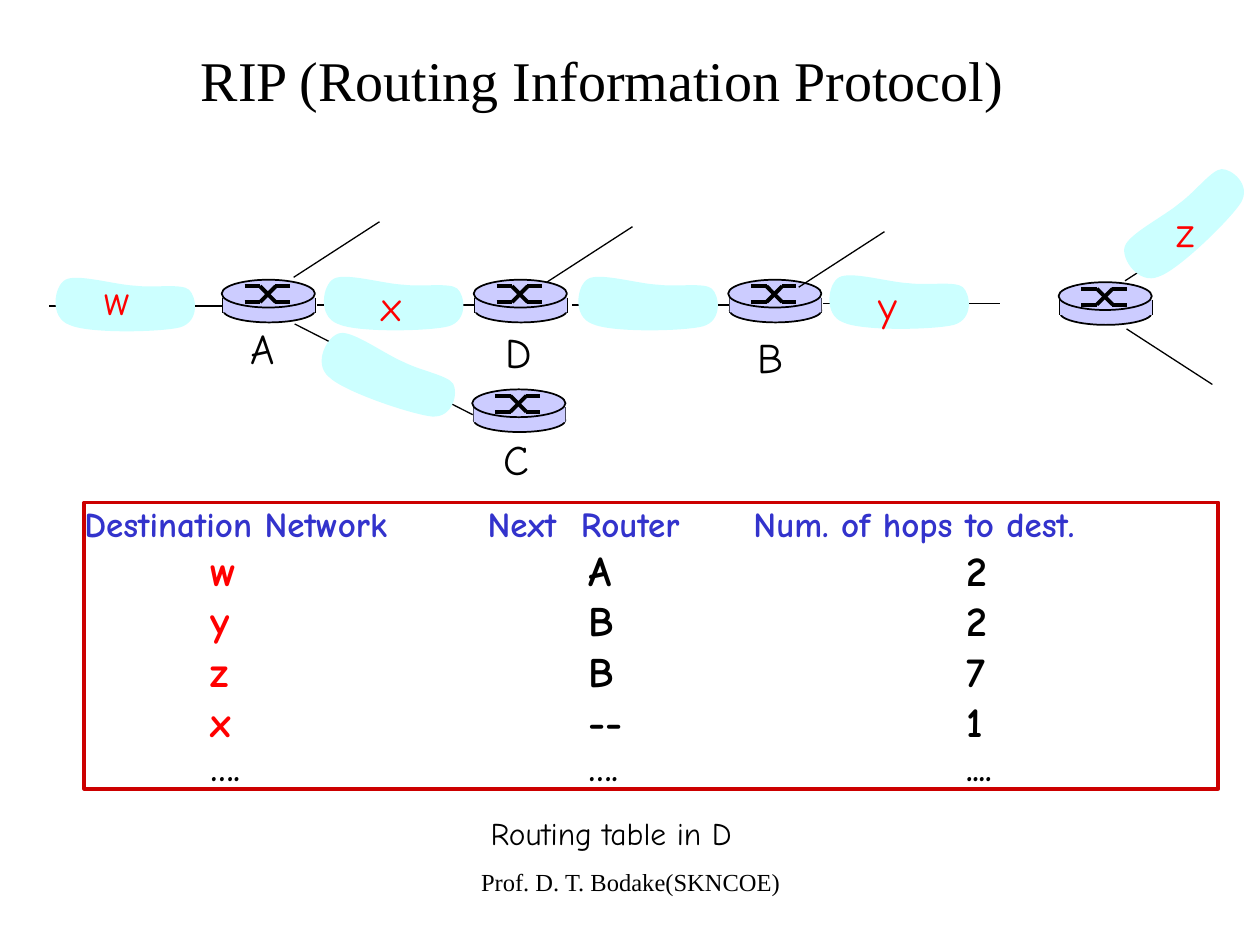
from dataclasses import dataclass

from lxml.etree import SubElement
from pptx import Presentation
from pptx.dml.color import RGBColor
from pptx.enum.shapes import MSO_CONNECTOR as Connector, MSO_SHAPE as Preset
from pptx.enum.text import MSO_ANCHOR as Anchor, PP_ALIGN as Align
from pptx.oxml.ns import qn
from pptx.util import Cm, Pt


@dataclass(frozen=True)
class Theme:
    """Colours, fonts and type sizes of the slide."""
    black: str = "000000"
    red: str = "FF0000"
    frame: str = "CC0000"
    header: str = "3333CC"
    router: str = "CCCCFF"
    cloud: str = "CCFFFF"
    serif: str = "Times New Roman"
    hand: str = "Comic Neue"
    title_size: int = 32
    label_size: int = 24
    header_size: int = 20
    caption_size: int = 18
    footer_size: int = 14


THEME = Theme()
CLOUD_START = (1.73, 0.25)
CLOUD_CURVES = [
    ((1.32, 0.23), (0.56, 0), (0.33, 0.13)),
    ((0.1, 0.25), (0, 0.89), (0.41, 1.04)),
    ((0.79, 1.22), (2.24, 1.19), (2.64, 1.09)),
    ((3.05, 0.97), (2.97, 0.46), (2.82, 0.33)),
    ((2.67, 0.2), (2.13, 0.3), CLOUD_START),
]
NETWORKS = [(0.99, 5.51), (6.4, 5.49), (11.53, 5.49), (16.59, 5.46)]
TILTED_NETWORKS = [(6.3, 6.96, 19.7), (22.35, 3.89, -43.2)]
ROUTERS = [(4.47, 5.64), (9.55, 5.64), (9.52, 7.85), (14.68, 5.64), (21.34, 5.69)]
SPOKES = [
    (5.92, 5.59, 1.73, -1.12),
    (11.02, 5.69, 1.73, -1.12),
    (16.1, 5.79, 1.73, -1.12),
    (22.68, 5.66, 1.73, -1.12),
    (22.71, 6.63, 1.73, 1.12),
    (5.94, 6.53, 3.59, 1.83),
]
NETWORK_NAMES = [("w", 2.36, 5.38), ("x", 7.9, 5.51), ("y", 17.89, 5.51), ("z", 23.9, 4.01)]
ROUTER_NAMES = [("A", 5.3, 6.38), ("C", 10.41, 8.61), ("D", 10.45, 6.45), ("B", 15.52, 6.55)]
HEADER = ("Destination Network", "Next", "Router", "Num. of hops to dest.")
HEADER_STOPS = (8.13, 10.01, 13.49)
ROUTES = [("w", "A", "2"), ("y", "B", "2"), ("z", "B", "7"), ("x", "--", "1")]
MORE_ROUTES = ("….", "….", "....")
ROUTE_STOPS = (2.54, 10.16, 17.78)


def rgb(color):
    """Turn a hex colour into an RGBColor."""
    return RGBColor.from_string(color)


def style_span(span, size, font, color, bold=False):
    """Format one run."""
    span.font.size = Pt(size)
    span.font.name = font
    span.font.bold = bold
    span.font.color.rgb = rgb(color)


def add_text(page, box, text, size, font, color, anchor=Anchor.TOP):
    """Place one centred line of text in a box."""
    frame = page.shapes.add_textbox(*map(Cm, box)).text_frame
    frame.text = text
    frame.word_wrap = True
    frame.vertical_anchor = anchor
    para = frame.paragraphs[0]
    para.alignment = Align.CENTER
    style_span(para.runs[0], size, font, color)


def add_line(shapes, left, top, run, rise, width):
    """Draw a black line from a point by a horizontal and vertical offset."""
    line = shapes.add_connector(
        Connector.STRAIGHT, Cm(left), Cm(top), Cm(left + run), Cm(top + rise))
    line.line.color.rgb = rgb(THEME.black)
    line.line.width = Pt(width)
    SubElement(line.element.spPr, qn("a:effectLst"))


def add_shape(shapes, preset, box, fill=None, line=None, width=1):
    """Draw a flat preset shape."""
    shape = shapes.add_shape(preset, *map(Cm, box))
    shape.shadow.inherit = False
    if fill:
        shape.fill.solid()
        shape.fill.fore_color.rgb = rgb(fill)
    else:
        shape.fill.background()
    if line:
        shape.line.color.rgb = rgb(line)
        shape.line.width = Pt(width)
    else:
        shape.line.fill.background()
    return shape


def add_router(page, left, top):
    """Draw a router drum with its crossing-paths symbol."""
    shapes = page.shapes.add_group_shape().shapes
    base, wall, lid = (0.03, 0.38, 1.85, 0.48), (0.03, 0.36, 1.85, 0.3), (0, 0, 1.88, 0.56)

    def place(box):
        """Move a part to the router's corner."""
        return (left + box[0], top + box[1], *box[2:])

    add_shape(shapes, Preset.OVAL, place(base), THEME.router, THEME.black)
    for side in (0.03, 1.88):
        add_line(shapes, left + side, top + 0.36, 0, 0.3, 1)
    add_shape(shapes, Preset.RECTANGLE, place(wall), THEME.router)
    add_shape(shapes, Preset.OVAL, place(lid), THEME.router, THEME.black)
    for start, end in ((0.13, 0.45), (0.45, 0.13)):
        add_line(shapes, left + 0.46, top + start, 0.32, 0, 2.25)
        add_line(shapes, left + 0.77, top + start, 0.32, end - start, 2.25)
        add_line(shapes, left + 1.08, top + end, 0.29, 0, 2.25)


def bend_segments(shape):
    """Join each three straight segments of an outline into a Bézier curve."""
    segments = list(shape.element.iter(qn("a:lnTo")))
    for first in range(0, len(segments), 3):
        group = segments[first:first + 3]
        curve = group[0].makeelement(qn("a:cubicBezTo"))
        group[0].addprevious(curve)
        for segment in group:
            curve.append(segment[0])
            segment.getparent().remove(segment)


def add_cloud(page, left, top, rotation=0):
    """Draw one network cloud."""
    def place(point):
        """Move an outline point to the cloud's corner."""
        return Cm(left + point[0]), Cm(top + point[1])

    builder = page.shapes.build_freeform(*place(CLOUD_START))
    builder.add_line_segments(
        [place(point) for curve in CLOUD_CURVES for point in curve], close=True)
    cloud = builder.convert_to_shape()
    bend_segments(cloud)
    cloud.rotation = rotation
    cloud.shadow.inherit = False
    cloud.fill.solid()
    cloud.fill.fore_color.rgb = rgb(THEME.cloud)
    cloud.line.fill.background()


def add_topology(page):
    """Draw the links, routers, clouds and their names."""
    for left, top in NETWORKS:
        add_line(page.shapes, left, top + 0.66, 3.56, 0, 1)
    for router in ROUTERS:
        add_router(page, *router)
    for spoke in SPOKES:
        add_line(page.shapes, *spoke, 0.75)
    for network in NETWORKS + TILTED_NETWORKS:
        add_cloud(page, *network)
    for names, color in ((NETWORK_NAMES, THEME.red), (ROUTER_NAMES, THEME.black)):
        for name, center, top in names:
            add_text(page, (center - 0.5, top, 1, 1.27), name,
                     THEME.label_size, THEME.hand, color)


def write_row(para, texts, stops, size, colors):
    """Write spans of one row at its tab stops."""
    para.alignment = Align.LEFT
    tabs = SubElement(para._p.get_or_add_pPr(), qn("a:tabLst"))
    for stop in stops:
        SubElement(tabs, qn("a:tab"), pos=str(Cm(stop)), algn="l")
    for text, color in zip(texts, colors):
        span = para.add_run()
        span.text = text
        style_span(span, size, THEME.hand, color, bold=True)


def add_routing_table(page, box):
    """Write the routing entries inside a red frame."""
    frame = add_shape(page.shapes, Preset.RECTANGLE, box,
                      line=THEME.frame, width=2.25).text_frame
    frame.margin_left = frame.margin_top = frame.margin_right = frame.margin_bottom = 0
    frame.vertical_anchor = Anchor.TOP
    frame.word_wrap = True
    write_row(frame.paragraphs[0], ["\t".join(HEADER)], HEADER_STOPS,
              THEME.header_size, [THEME.header])
    for network, router, hops in ROUTES:
        write_row(frame.add_paragraph(), [f"\t{network}", f"\t{router}\t{hops}"],
                  ROUTE_STOPS, THEME.label_size, [THEME.red, THEME.black])
    write_row(frame.add_paragraph(), ["\t" + "\t".join(MORE_ROUTES)], ROUTE_STOPS,
              THEME.header_size, [THEME.black])


def main():
    """Build and save the slide."""
    deck = Presentation()
    deck.slide_width, deck.slide_height = Cm(25.4), Cm(19.05)
    page = deck.slides.add_slide(deck.slide_layouts[6])
    add_text(page, (1.35, 0, 21.59, 3.18), "RIP (Routing Information Protocol)",
             THEME.title_size, THEME.serif, THEME.black, Anchor.MIDDLE)
    add_routing_table(page, (1.7, 10.13, 22.86, 5.77))
    add_topology(page)
    add_text(page, (9.4, 16.28, 5.84, 1.02), "Routing table in D",
             THEME.caption_size, THEME.hand, THEME.black)
    add_text(page, (8.69, 17.35, 8.05, 1.27), "Prof. D. T. Bodake(SKNCOE)",
             THEME.footer_size, THEME.serif, THEME.black)
    deck.save("out.pptx")


if __name__ == "__main__":
    main()
